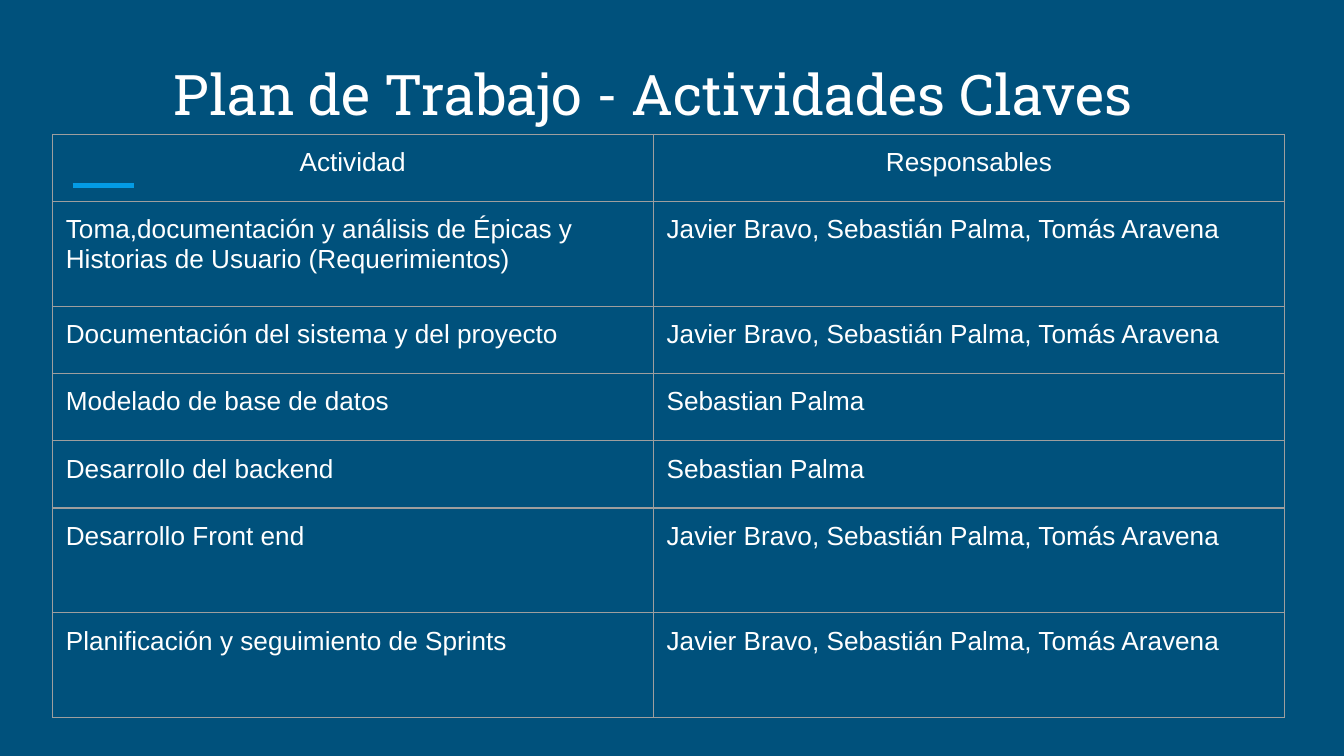
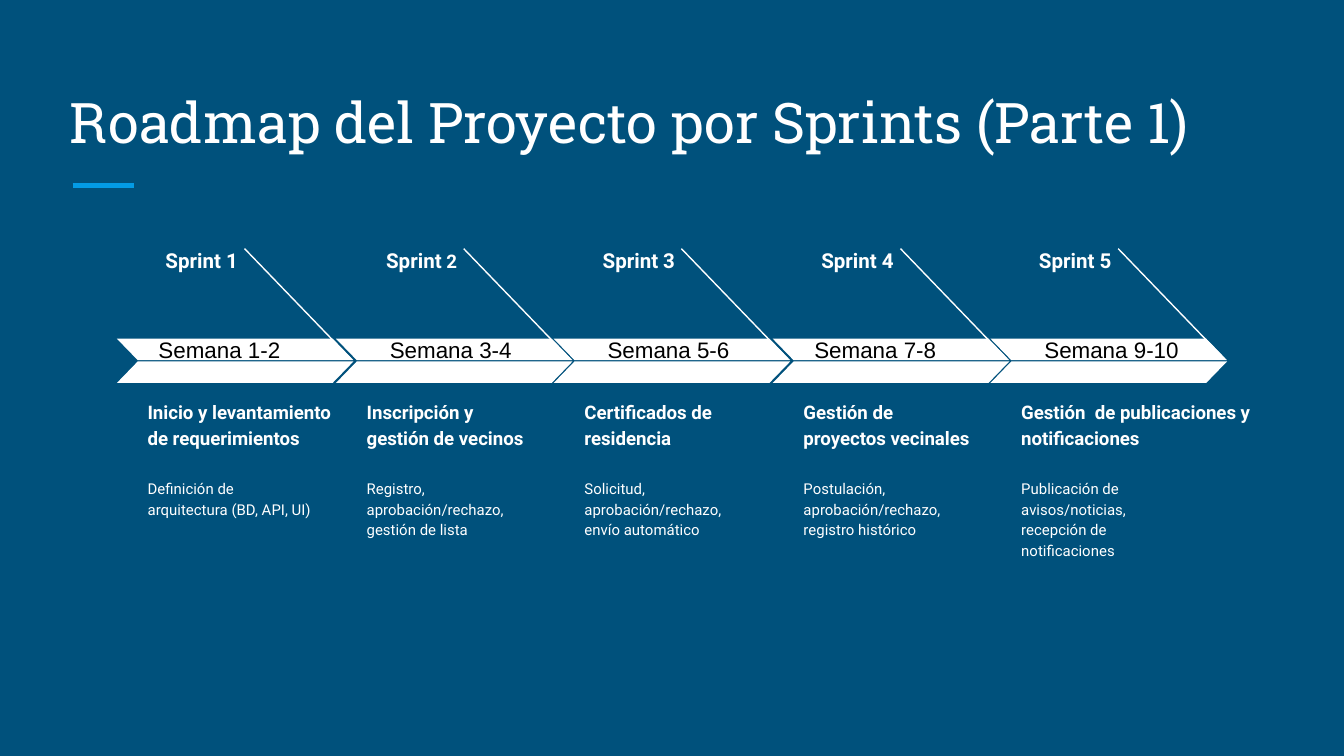
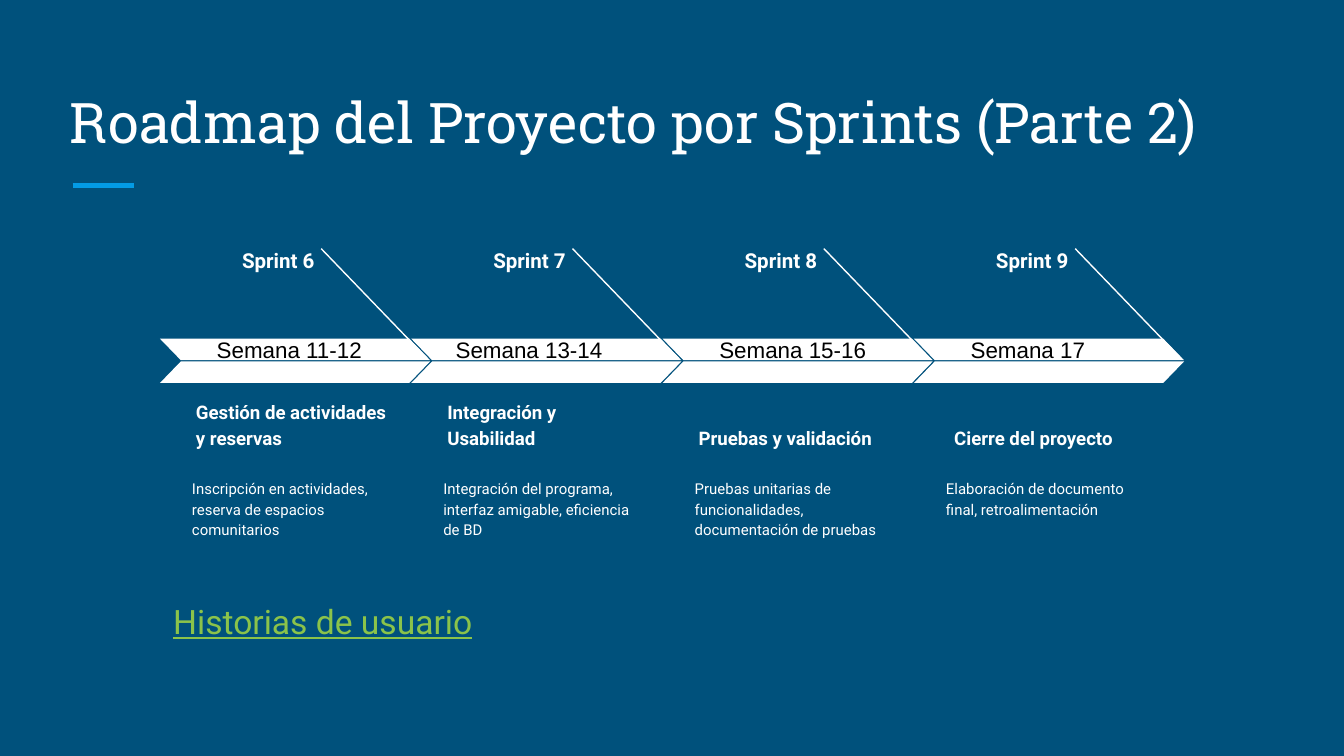
from dataclasses import dataclass
from math import ceil

from lxml import etree
from pptx import Presentation, slide as s, util as u
from pptx.dml import color
from pptx.enum import shapes, text
from pptx.oxml import ns
from pptx.shapes import shapetree
from pptx.text import text as t

PX = 9144
COLORS = {
    "background": "00517C",
    "accent": "039BE5",
    "white": "FFFFFF",
    "black": "000000",
    "border": "9E9E9E",
    "link": "8BC34A",
}
TITLE_FONT, BODY_FONT, PLAIN_FONT = "Roboto Slab", "Roboto", "Arial"
LEFT, CENTER, RIGHT = text.PP_ALIGN.LEFT, text.PP_ALIGN.CENTER, text.PP_ALIGN.RIGHT
TOP, MIDDLE, BOTTOM = text.MSO_ANCHOR.TOP, text.MSO_ANCHOR.MIDDLE, text.MSO_ANCHOR.BOTTOM


@dataclass(frozen=True)
class Box:
    left: int
    top: int
    width: int
    height: int

    def emu(self) -> tuple[u.Emu, ...]:
        return tuple(px(n) for n in (self.left, self.top, self.width, self.height))


@dataclass(frozen=True)
class Sprint:
    number: int
    weeks: str
    headline: str
    detail: str
    label_width: int
    headline_width: int
    weeks_indent: int = 9
    headline_indent: int = 0
    space_size: int = 11
    number_size: int = 11


@dataclass(frozen=True)
class Roadmap:
    title: str
    first_left: int
    last_left: int
    arrow_width: int
    headline_offset: int
    detail_offset: int
    detail_width: int
    sprints: tuple[Sprint, ...]


@dataclass(frozen=True)
class Activity:
    name: str
    owners: str
    height: int = 50


TEAM = "Javier Bravo, Sebastián Palma, Tomás Aravena"
ACTIVITIES = (
    Activity("Actividad", "Responsables"),
    Activity("Toma,documentación y análisis de Épicas y Historias de Usuario (Requerimientos)", TEAM, 78),
    Activity("Documentación del sistema y del proyecto", TEAM),
    Activity("Modelado de base de datos", "Sebastian Palma"),
    Activity("Desarrollo del backend", "Sebastian Palma"),
    Activity("Desarrollo Front end", TEAM, 78),
    Activity("Planificación y seguimiento de Sprints", TEAM, 78),
)
ROADMAPS = (
    Roadmap("Roadmap del Proyecto por Sprints (Parte 1)", 87, 737, 176, 13, 13, 145, (
        Sprint(1, "Semana 1-2", "Inicio y levantamiento de requerimientos",
               "Definición de arquitectura (BD, API, UI)", 79, 160, weeks_indent=0),
        Sprint(2, "Semana 3-4", "Inscripción y gestión de vecinos",
               "Registro, aprobación/rechazo, gestión de lista", 79, 145, space_size=10, number_size=10),
        Sprint(3, "Semana 5-6", "Certificados de residencia",
               "Solicitud, aprobación/rechazo, envío automático", 82, 145, space_size=10),
        Sprint(4, "Semana 7-8", "Gestión de proyectos vecinales",
               "Postulación, aprobación/rechazo, registro histórico", 82, 145, weeks_indent=0),
        Sprint(5, "Semana 9-10", "Gestión  de publicaciones y notificaciones",
               "Publicación de avisos/noticias, recepción de notificaciones", 87, 200),
    )),
    Roadmap("Roadmap del Proyecto por Sprints (Parte 2)", 119, 680, 201, 17, 14, 169, (
        Sprint(6, "Semana 11-12", "Gestión de actividades y reservas",
               "Inscripción en actividades, reserva de espacios comunitarios", 85, 165),
        Sprint(7, "Semana 13-14", "Integración y Usabilidad",
               "Integración del programa, interfaz amigable, eficiencia de BD", 86, 165, weeks_indent=0),
        Sprint(8, "Semana 15-16", "Pruebas y validación",
               "Pruebas unitarias de funcionalidades, documentación de pruebas", 90, 165),
        Sprint(9, "Semana 17", "Cierre del proyecto",
               "Elaboración de documento final, retroalimentación", 97, 165, headline_indent=3),
    )),
)


def px(length: int) -> u.Emu:
    return u.Emu(length * PX)


def rgb(name: str) -> color.RGBColor:
    return color.RGBColor.from_string(COLORS[name])


def add_span(para: t._Paragraph, words: str, *, size: int, font: str = BODY_FONT,
             ink: str = "white", bold: bool = False, underline: bool = False) -> None:
    span = para.add_run()
    span.text = words
    span.font.size = u.Pt(size)
    span.font.name = font
    span.font.bold = bold
    span.font.underline = underline
    span.font.color.rgb = rgb(ink)


def write(frame: t.TextFrame, words: str, *, align: text.PP_ALIGN = LEFT,
          anchor: text.MSO_ANCHOR = TOP, indent: int = 0, spacing: float = 1.0,
          after: int = 0, **style) -> t._Paragraph:
    frame.word_wrap = True
    frame.auto_size = text.MSO_AUTO_SIZE.NONE
    frame.vertical_anchor = anchor
    frame.margin_left = px(10 + indent)
    frame.margin_top = frame.margin_right = frame.margin_bottom = px(10)
    para = frame.paragraphs[0]
    para.alignment = align
    para.line_spacing = spacing
    para.space_after = u.Pt(after)
    add_span(para, words, **style)
    return para


def add_line(canvas: shapetree._BaseGroupShapes, start: tuple[int, int], end: tuple[int, int],
             ink: str, weight: float) -> None:
    line = canvas.add_connector(shapes.MSO_CONNECTOR.STRAIGHT, *(px(n) for n in start + end))
    line.line.color.rgb = rgb(ink)
    line.line.width = u.Pt(weight)
    etree.SubElement(line.element.spPr, ns.qn("a:effectLst"))


def add_page(deck: Presentation, title: str, box: Box, align: text.PP_ALIGN = LEFT) -> s.Slide:
    page = deck.slides.add_slide(deck.slide_layouts.get_by_name("Title Only"))
    heading = page.shapes.title
    heading.left, heading.top, heading.width, heading.height = box.emu()
    write(heading.text_frame, title, align=align, anchor=BOTTOM, size=30, font=TITLE_FONT)
    add_line(page.shapes, (54, 138), (100, 138), "accent", 3)
    return page


def add_border(cell) -> None:
    properties = cell._tc.get_or_add_tcPr()
    for side in ("lnL", "lnR", "lnT", "lnB"):
        line = etree.SubElement(properties, ns.qn(f"a:{side}"), w=str(u.Pt(0.75)))
        fill = etree.SubElement(line, ns.qn("a:solidFill"))
        etree.SubElement(fill, ns.qn("a:srgbClr"), val=COLORS["border"])


def add_activities(page: s.Slide) -> None:
    box = Box(39, 100, 917, sum(activity.height for activity in ACTIVITIES))
    table = page.shapes.add_table(len(ACTIVITIES), 2, *box.emu()).table
    table.first_row = table.horz_banding = False
    for column, width in zip(table.columns, (447, 470)):
        column.width = px(width)
    for index, activity in enumerate(ACTIVITIES):
        table.rows[index].height = px(activity.height)
        for cell, words in zip(table.rows[index].cells, (activity.name, activity.owners)):
            write(cell.text_frame, words, align=LEFT if index else CENTER, size=14, font=PLAIN_FONT)
            cell.margin_left = cell.margin_right = cell.margin_top = cell.margin_bottom = px(10)
            add_border(cell)
            cell.fill.background()


def add_text(canvas: shapetree._BaseGroupShapes, box: Box, words: str, **style) -> t._Paragraph:
    return write(canvas.add_textbox(*box.emu()).text_frame, words, **style)


def add_band(canvas: shapetree._BaseGroupShapes, box: Box, flipped: bool) -> t.TextFrame:
    band = canvas.add_shape(shapes.MSO_SHAPE.PARALLELOGRAM, *box.emu())
    band.adjustments[0] = 0.97
    band.shadow.inherit = False
    band.fill.solid()
    band.fill.fore_color.rgb = rgb("white")
    band.line.fill.background()
    if flipped:
        band.element.spPr.get_or_add_xfrm().set("flipH", "1")
    return band.text_frame


def add_sprint(page: s.Slide, plan: Roadmap, sprint: Sprint, left: int) -> None:
    group = page.shapes.add_group_shape().shapes
    right = left + plan.arrow_width
    add_line(group, (right - 81, 185), (right - 2, 267), "white", 0.75)
    upper = add_band(group, Box(left, 252, plan.arrow_width, 16), True)
    write(upper, sprint.weeks, anchor=MIDDLE, indent=sprint.weeks_indent,
          size=12, font=PLAIN_FONT, ink="black")
    add_band(group, Box(left, 269, plan.arrow_width, 16), False)
    add_text(group, Box(left + plan.headline_offset, 295, sprint.headline_width, 49), sprint.headline,
             anchor=BOTTOM, indent=sprint.headline_indent, spacing=1.15, size=10, bold=True)
    add_text(group, Box(left + plan.detail_offset, 345, plan.detail_width, 81), sprint.detail,
             spacing=1.15, after=16, size=8)
    label = add_text(group, Box(right - 76 - sprint.label_width, 172, sprint.label_width, 26), "Sprint",
                     align=RIGHT, spacing=1.15, after=16, size=11, bold=True)
    add_span(label, " ", size=sprint.space_size, bold=True)
    add_span(label, str(sprint.number), size=sprint.number_size, bold=True)


def add_roadmap(deck: Presentation, plan: Roadmap) -> s.Slide:
    page = add_page(deck, plan.title, Box(42, 50, 915, 75))
    pitch = (plan.last_left - plan.first_left) / (len(plan.sprints) - 1)
    for index, sprint in enumerate(plan.sprints):
        add_sprint(page, plan, sprint, ceil(plan.first_left + index * pitch))
    return page


def main() -> None:
    deck = Presentation()
    deck.slide_width = px(1000)
    deck.slide_height = u.Emu(deck.slide_width * 9 // 16)
    backdrop = deck.slide_master.background.fill
    backdrop.solid()
    backdrop.fore_color.rgb = rgb("background")

    plan_page = add_page(deck, "Plan de Trabajo - Actividades Claves", Box(72, 29, 829, 75), CENTER)
    add_activities(plan_page)
    pages = [add_roadmap(deck, plan) for plan in ROADMAPS]

    stories = pages[-1].shapes.add_textbox(*Box(119, 437, 255, 50).emu()).text_frame
    write(stories, "Historias de usuario", size=18, ink="link", underline=True)
    stories.auto_size = text.MSO_AUTO_SIZE.SHAPE_TO_FIT_TEXT
    deck.save("out.pptx")


if __name__ == "__main__":
    main()
